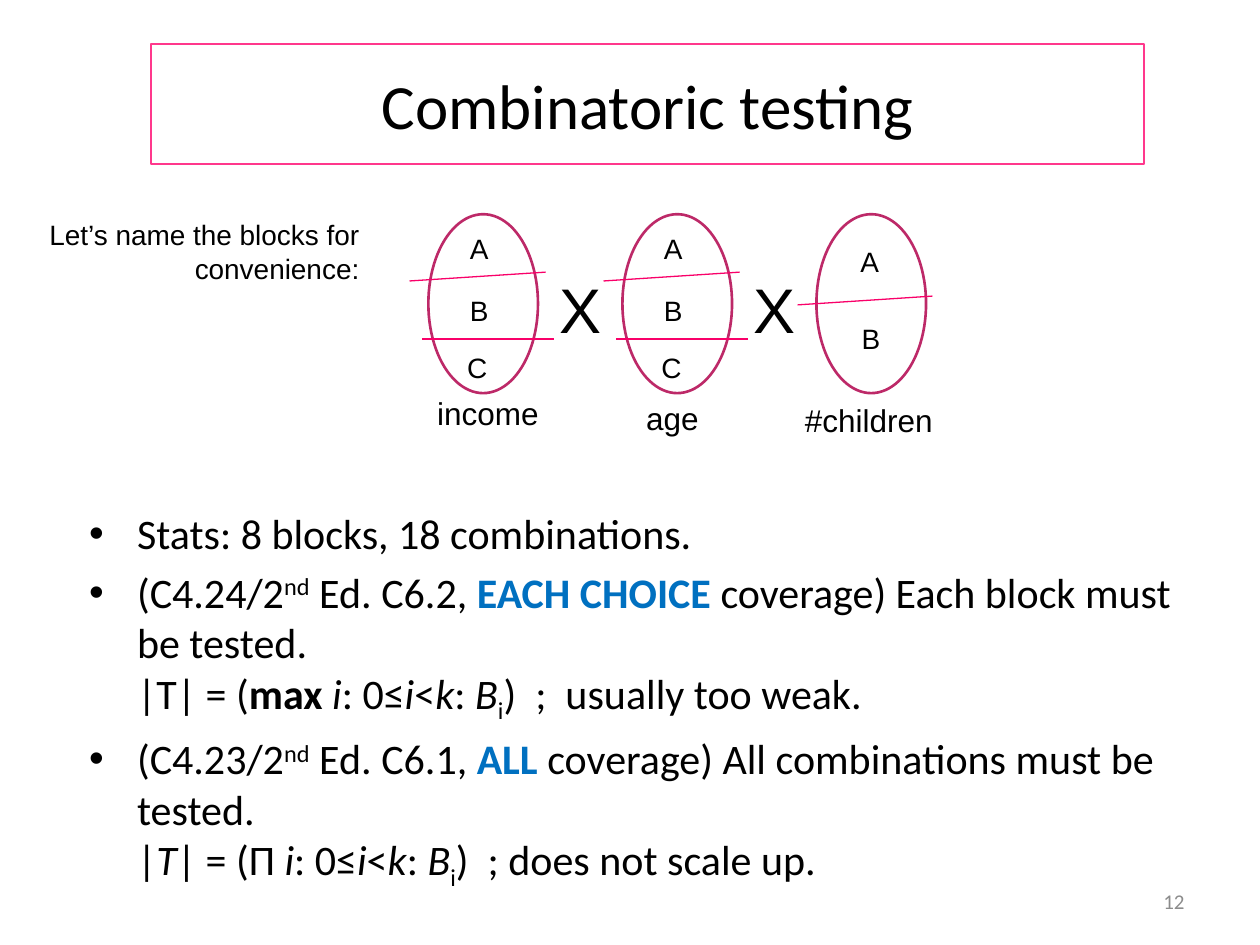
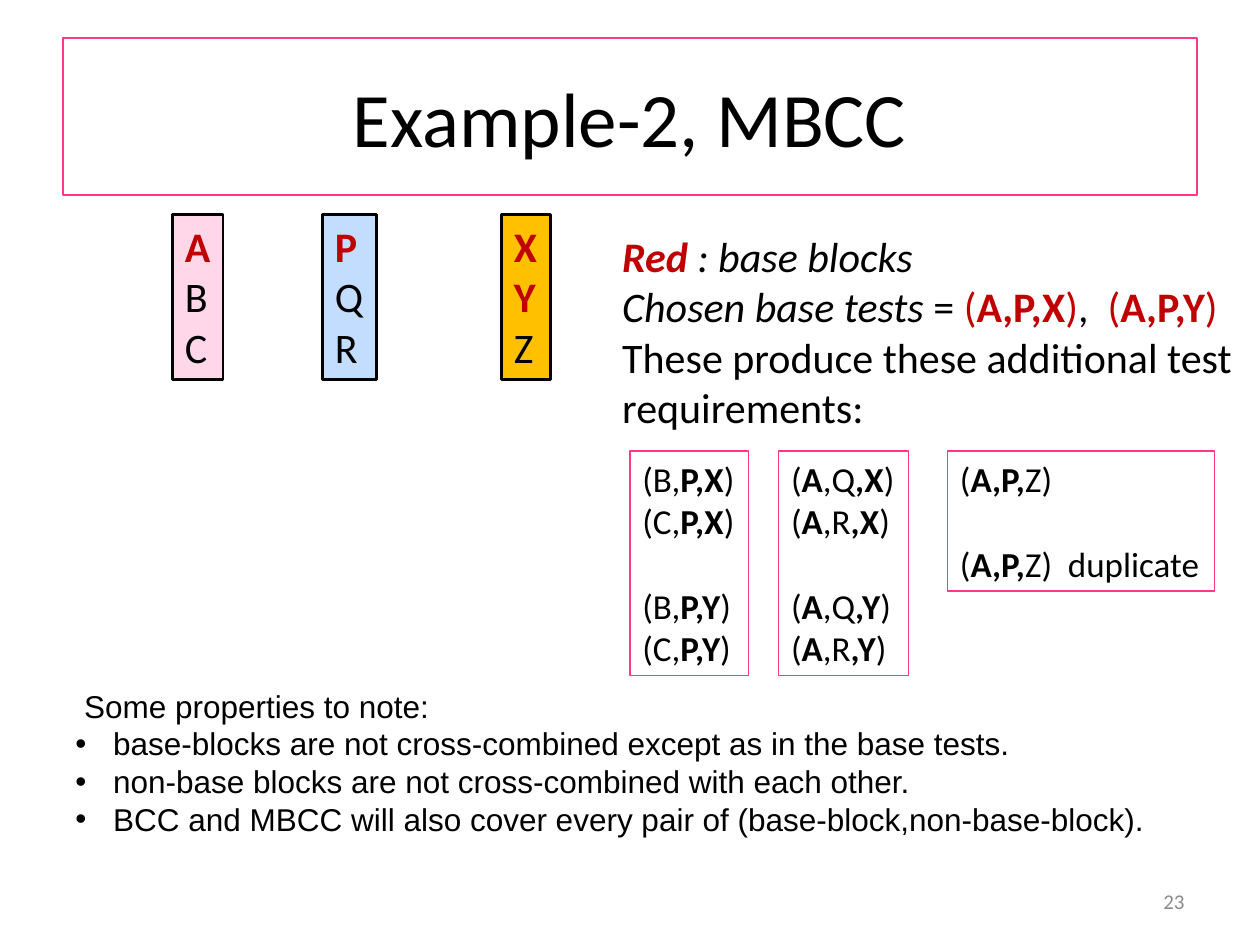
from lxml import etree
from pptx import Presentation
from pptx.dml.color import RGBColor
from pptx.enum.shapes import MSO_CONNECTOR, MSO_SHAPE
from pptx.enum.text import MSO_ANCHOR, PP_ALIGN
from pptx.oxml.ns import qn
from pptx.util import Inches, Pt

LEFT, CENTER, RIGHT = PP_ALIGN.LEFT, PP_ALIGN.CENTER, PP_ALIGN.RIGHT
TOP, MIDDLE = MSO_ANCHOR.TOP, MSO_ANCHOR.MIDDLE
RECTANGLE, OVAL = MSO_SHAPE.RECTANGLE, MSO_SHAPE.OVAL
STRAIGHT = MSO_CONNECTOR.STRAIGHT

BLACK = RGBColor(0x00, 0x00, 0x00)
GRAY = RGBColor(0x8C, 0x8C, 0x8C)
PINK = RGBColor(0xFF, 0x38, 0x8C)
CUT_PINK = RGBColor(0xF9, 0x00, 0x69)
OVAL_PINK = RGBColor(0xBD, 0x29, 0x68)
RED = RGBColor(0xC0, 0x00, 0x00)
BLUE = RGBColor(0x00, 0x70, 0xC0)
PALE_PINK = RGBColor(0xFF, 0xD7, 0xE8)
PALE_BLUE = RGBColor(0xC3, 0xDD, 0xFF)
AMBER = RGBColor(0xFF, 0xC0, 0x00)


def write_text(shape, paragraphs, size, font="Calibri", color=BLACK, align=LEFT,
               anchor=TOP, wrap=False, indent=0, bullets_from=None, space=0):
    """Each paragraph is a string or a list of (text, style) pairs.
    Style letters: b bold, i italic, r red, u blue, ^ superscript, _ subscript."""
    frame = shape.text_frame
    frame.word_wrap = wrap
    frame.vertical_anchor = anchor
    for index, parts in enumerate(paragraphs):
        paragraph = frame.add_paragraph() if index else frame.paragraphs[0]
        paragraph.alignment = align
        if index and space:
            paragraph.space_before = Pt(space)
        if bullets_from is not None and index >= bullets_from:
            properties = paragraph._p.get_or_add_pPr()
            properties.set("marL", str(Inches(indent)))
            properties.set("indent", str(-Inches(indent)))
            etree.SubElement(properties, qn("a:buFont")).set("typeface", "Arial")
            etree.SubElement(properties, qn("a:buChar")).set("char", "•")
        paragraph.font.name = font
        paragraph.font.size = Pt(size)
        paragraph.font.color.rgb = color
        for text, style in [(parts, "")] if isinstance(parts, str) else parts:
            for line_index, line in enumerate(text.split("\n")):
                if line_index:
                    paragraph.add_line_break()
                if not line:
                    continue
                run = paragraph.add_run()
                run.text = line
                if "b" in style:
                    run.font.bold = True
                if "i" in style:
                    run.font.italic = True
                if "r" in style:
                    run.font.color.rgb = RED
                if "u" in style:
                    run.font.color.rgb = BLUE
                if "^" in style:
                    run.font._element.set("baseline", "30000")
                if "_" in style:
                    run.font._element.set("baseline", "-25000")


def add_outlined(slide, kind, box, line_color, line_width, fill=None):
    shape = slide.shapes.add_shape(kind, *map(Inches, box))
    shape.shadow.inherit = False
    if fill is None:
        shape.fill.background()
    else:
        shape.fill.solid()
        shape.fill.fore_color.rgb = fill
    shape.line.color.rgb = line_color
    shape.line.width = Pt(line_width)
    return shape


presentation = Presentation()
presentation.slide_width = Inches(10)
presentation.slide_height = Inches(7.5)

# Framed titles and slide numbers
slides = []
for title, title_box, title_size, number in [
    ("Combinatoric testing", (1.2, 0.35, 7.88, 0.95), 36, "12"),
    ("Example-2, MBCC", (0.5, 0.3, 9, 1.25), 44, "23"),
]:
    slide = presentation.slides.add_slide(presentation.slide_layouts[6])
    frame = add_outlined(slide, RECTANGLE, title_box, PINK, 1)
    write_text(frame, [title], title_size, align=CENTER, anchor=MIDDLE, wrap=True)
    number_box = slide.shapes.add_textbox(
        Inches(7.17), Inches(6.95), Inches(2.33), Inches(0.4))
    write_text(number_box, [number], 12, color=GRAY, align=RIGHT, anchor=MIDDLE, wrap=True)
    slides.append(slide)
testing_slide, example_slide = slides

# Slide 1: coverage criteria
criteria = testing_slide.shapes.add_textbox(
    Inches(0.61), Inches(3.98), Inches(9.06), Inches(3.16))
size_range = [("i", "i"), (": 0≤", ""), ("i", "i"), ("<", ""), ("k", "i"),
              (": ", ""), ("B", "i"), ("i", "_")]
write_text(criteria, [
    "Stats: 8 blocks, 18 combinations.",
    [("(C4.24/2", ""), ("nd", "^"), (" Ed. C6.2, ", ""), ("EACH CHOICE ", "bu"),
     ("coverage) Each block must be tested. \n|T| = (", ""), ("max ", "b"),
     *size_range, (")  ;  usually too weak.", "")],
    [("(C4.23/2", ""), ("nd", "^"), (" Ed. C6.1, ", ""), ("ALL", "bu"),
     (" coverage) All combinations must be tested. \n|", ""), ("T", "i"), ("| = (Π ", ""),
     *size_range, (")  ; does not scale up.", "")],
], 24, wrap=True, indent=0.38, bullets_from=0, space=4.8)

# Slide 1: partitioned ovals, with cuts and block names placed from each oval's corner
three_cuts = [(-0.15, 0.53, 0.93, 0.46), (-0.05, 0.99, 1, 0.99)]
three_blocks = [("A", 0.23, 0.09), ("B", 0.23, 0.58), ("C", 0.21, 1.03)]
two_cuts = [(-0.15, 0.72, 0.92, 0.65)]
two_blocks = [("A", 0.25, 0.19), ("B", 0.26, 0.8)]
OVAL_LEFT, OVAL_TOP, OVAL_PITCH = 3.4, 1.7, 1.54
labels = [("X", 4.34, 2.1, 0.46, 0.71, 36), ("X", 5.88, 2.1, 0.46, 0.71, 36),
          ("income", 3.37, 3.08, 1.02, 0.4, 18), ("age", 5.03, 3.12, 0.62, 0.4, 18),
          ("#children", 6.29, 3.13, 1.23, 0.4, 18)]
for column, (cuts, blocks) in enumerate([
    (three_cuts, three_blocks), (three_cuts, three_blocks), (two_cuts, two_blocks),
]):
    left = OVAL_LEFT + column * OVAL_PITCH
    add_outlined(testing_slide, OVAL, (left, OVAL_TOP, 0.87, 1.42), OVAL_PINK, 1.5)
    for x1, y1, x2, y2 in cuts:
        cut = testing_slide.shapes.add_connector(
            STRAIGHT, Inches(left + x1), Inches(OVAL_TOP + y1),
            Inches(left + x2), Inches(OVAL_TOP + y2))
        cut.line.color.rgb = CUT_PINK
        cut.line.width = Pt(0.75)
        etree.SubElement(cut._element.spPr, qn("a:effectLst"))
    for name, x, y in blocks:
        labels.append((name, left + x, OVAL_TOP + y, 0.35, 0.37, 16))

for text, x, y, width, height, size in labels:
    label = testing_slide.shapes.add_textbox(
        Inches(x), Inches(y), Inches(width), Inches(height))
    write_text(label, [text], size, font="Arial")

hint = testing_slide.shapes.add_textbox(
    Inches(0.26), Inches(1.68), Inches(2.69), Inches(0.64))
write_text(hint, ["Let’s name the blocks for convenience:"], 16, font="Arial",
           align=RIGHT, wrap=True)

# Slide 2: characteristics with base blocks in red
for x, width, fill, base_blocks, other_blocks in [
    (1.37, 0.4, PALE_PINK, "A", "BC"),
    (2.56, 0.43, PALE_BLUE, "P", "QR"),
    (3.98, 0.39, AMBER, "XY", "Z"),
]:
    shape = add_outlined(example_slide, RECTANGLE, (x, 1.7, width, 1.31), BLACK, 1.5, fill)
    write_text(shape, [[(block, "br")] for block in base_blocks] + list(other_blocks), 24)

# Slide 2: chosen base tests
base_tests = example_slide.shapes.add_textbox(
    Inches(4.84), Inches(1.78), Inches(5.16), Inches(1.72))
write_text(base_tests, [
    [("Red", "bir"), (" : base blocks\nChosen base tests ", "i"), ("= ", ""),
     ("(", "r"), ("A,P,X", "br"), (")", "r"), (",  ", ""),
     ("(", "r"), ("A,P,Y", "br"), (")", "r")],
    "These produce these additional test requirements:",
], 24, wrap=True)

# Slide 2: additional requirements, one group per base test
first_tests, second_tests, third_tests = [], [], []
for base in "XY":
    for block in "BC":
        first_tests.append([(f"({block},", ""), (f"P,{base}", "b"), (")", "")])
    for block in "QR":
        second_tests.append([("(", ""), ("A", "b"), (f",{block}", ""),
                             (f",{base}", "b"), (")", "")])
    ending = "Z)" if base == "X" else "Z)  duplicate"
    third_tests.append([("(", ""), ("A,P,", "b"), (ending, "")])

for x, width, height, tests in [
    (5, 0.94, 1.78, first_tests),
    (6.18, 1.03, 1.78, second_tests),
    (7.52, 2.12, 1.11, third_tests),
]:
    shape = add_outlined(example_slide, RECTANGLE, (x, 3.58, width, height), PINK, 0.75)
    write_text(shape, tests, 20)
    shape.text_frame.paragraphs[len(tests) // 2].space_before = Pt(24.4)

# Slide 2: properties
properties_box = example_slide.shapes.add_textbox(
    Inches(0.5), Inches(5.4), Inches(9.15), Inches(1.62))
write_text(properties_box, [
    " Some properties to note:",
    "base-blocks are not cross-combined except as in the base tests.",
    "non-base blocks are not cross-combined with each other.",
    "BCC and MBCC will also cover every pair of (base-block,non-base-block).",
], 18, font="Arial", wrap=True, indent=0.3, bullets_from=1)

presentation.save("out.pptx")
